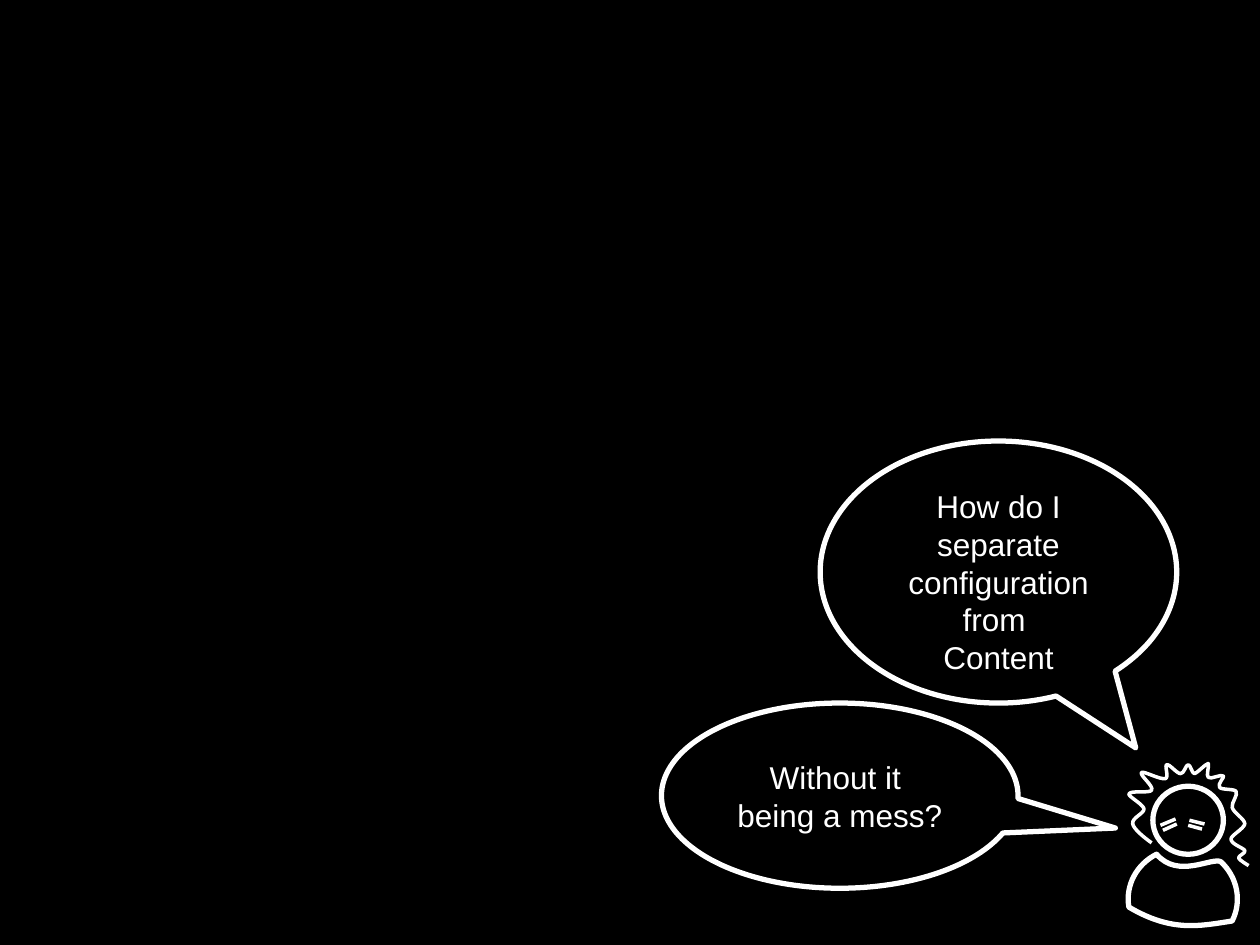
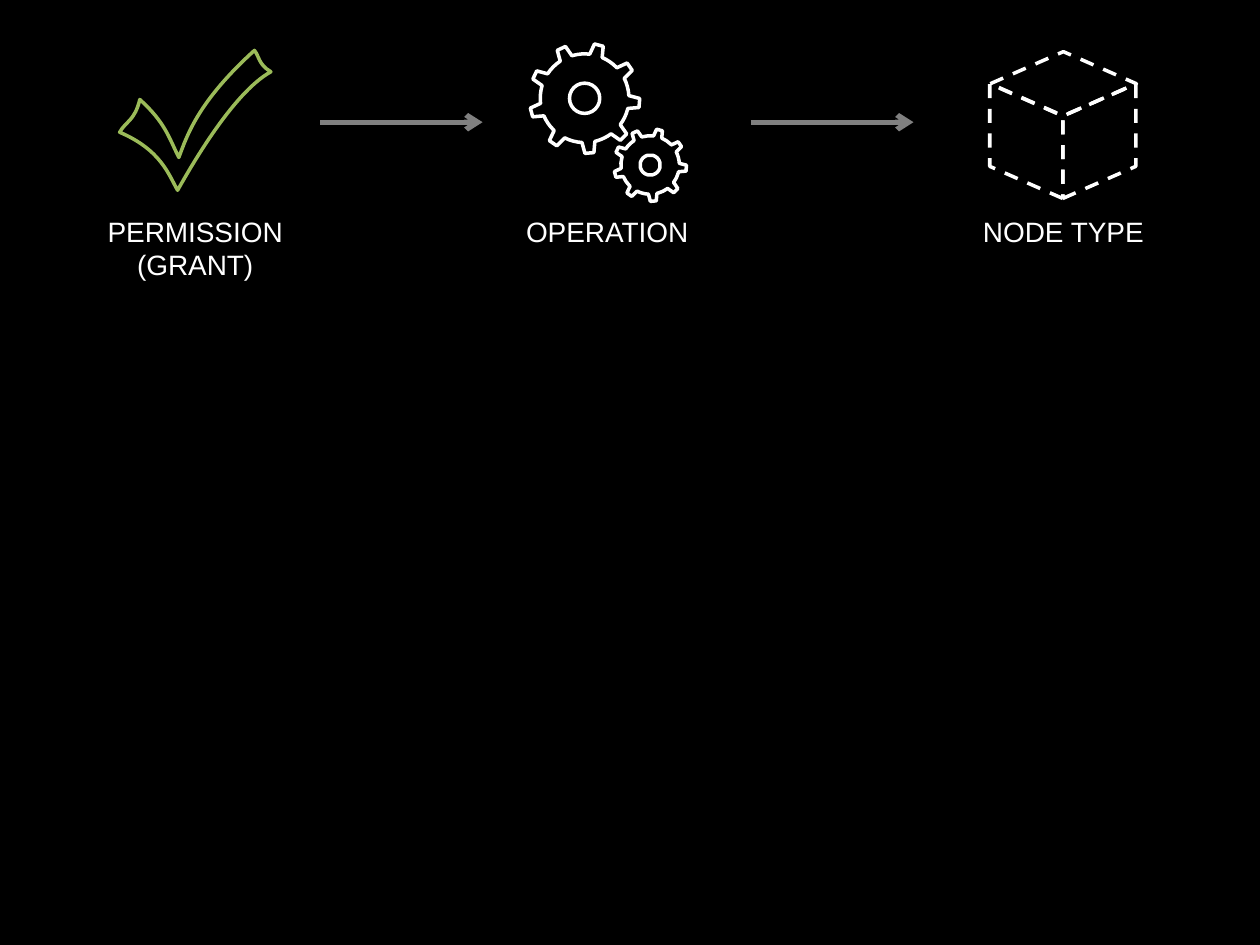
"""Build two black slides: a puzzled figure with speech bubbles, and a permission flow."""
from lxml import etree
from pptx import Presentation, util as u
from pptx.dml.color import RGBColor
from pptx.enum import dml, shapes as s, text
from pptx.oxml.ns import qn

BLACK, WHITE, GREY, GREEN = "000000", "FFFFFF", "808080", "9BBB59"
FONT = "Arial"

BODY = (0.87, 0.57), (8.96, 7.2), [
    (8.93, 7.03, 9.02, 6.86, 9.18, 6.78), (9.35, 6.98, 9.62, 6.8, 9.69, 6.84),
    (9.82, 6.96, 9.86, 7.15, 9.78, 7.31), (9.52, 7.35, 9.3, 7.4, 8.96, 7.2),
]
HAIR = (0.95, 0.81), (9.14, 6.69), [
    (9.07, 6.64, 9, 6.58, 8.99, 6.54), (8.98, 6.49, 9.08, 6.46, 9.08, 6.42),
    (9.07, 6.38, 8.95, 6.32, 8.96, 6.3), (8.98, 6.27, 9.13, 6.3, 9.14, 6.27),
    (9.16, 6.24, 9.04, 6.15, 9.06, 6.13), (9.08, 6.12, 9.21, 6.19, 9.25, 6.18),
    (9.28, 6.17, 9.24, 6.07, 9.26, 6.07), (9.28, 6.06, 9.34, 6.14, 9.37, 6.14),
    (9.4, 6.14, 9.41, 6.07, 9.43, 6.07), (9.45, 6.07, 9.46, 6.14, 9.48, 6.14),
    (9.51, 6.13, 9.57, 6.06, 9.59, 6.06), (9.6, 6.07, 9.57, 6.16, 9.59, 6.17),
    (9.61, 6.19, 9.69, 6.14, 9.71, 6.16), (9.72, 6.17, 9.66, 6.22, 9.68, 6.25),
    (9.7, 6.27, 9.79, 6.26, 9.81, 6.28), (9.83, 6.31, 9.77, 6.37, 9.78, 6.41),
    (9.79, 6.45, 9.88, 6.5, 9.88, 6.54), (9.87, 6.58, 9.77, 6.63, 9.77, 6.66),
    (9.77, 6.7, 9.87, 6.73, 9.88, 6.75), (9.89, 6.77, 9.83, 6.79, 9.83, 6.81),
    (9.84, 6.83, 9.91, 6.87, 9.91, 6.87),
]
CHECK_MARK = (1.2, 1.11), (0.95, 1.05), [
    (1.28, 1.19, 1.34, 1.39, 1.41, 1.51), (1.49, 1.37, 1.84, 0.74, 2.15, 0.57),
    (2.05, 0.51, 2.06, 0.45, 2.02, 0.4), (1.58, 0.8, 1.49, 1.06, 1.42, 1.25),
    (1.34, 1.09, 1.31, 0.97, 1.11, 0.79), (1.07, 0.96, 1, 0.96, 0.95, 1.05),
]
HEAD = (9.15, 6.24, 0.56, 0.54)
EYES = [
    [(9.21, 6.55, 9.33, 6.5), (9.23, 6.59, 9.34, 6.54)],
    [(9.44, 6.51, 9.56, 6.54), (9.43, 6.55, 9.54, 6.58)],
]
BUBBLES = [
    ((6.51, 3.5, 2.83, 2.08), (0.385, 0.671), 0.15,
     ["How do I", "separate", "configuration", "from ", "Content"]),
    ((5.25, 5.58, 2.83, 1.47), (0.773, 0.175), 0, ["Without it ", "being a mess?"]),
]
LABELS = [
    (3.54, 0.37, ["OPERATION"]),
    (0.27, 0.64, ["PERMISSION", "(GRANT)"]),
    (7.16, 0.37, ["NODE TYPE"]),
]
LABEL_TOP, LABEL_WIDTH = 1.65, 2.56
ARROW_STARTS, ARROW_LENGTH, ARROW_Y = (2.54, 5.96), 1.29, 0.97
GEARS = [(4.64, 0.78, 0.88, 0.24), (5.16, 1.31, 0.58, 0.16)]
GEAR_TILT = 15
CUBE_SIDES = [(7.69, 270, False), (8.27, 90, True)]
CUBE_SIDE_TOP, CUBE_SIDE_SIZE, CUBE_SLANT = 0.83, (0.91, 0.58), 0.44
CUBE_TOP = (7.86, 0.41, 1.16, 0.51)


def color(hex_string):
    return RGBColor.from_string(hex_string)


def style_line(shape, hex_string, width, dashed=False, arrow=False):
    shape.line.color.rgb = color(hex_string)
    shape.line.width = u.Pt(width)
    if dashed:
        shape.line.dash_style = dml.MSO_LINE.DASH
    line = shape._element.spPr.find(qn("a:ln"))
    etree.SubElement(line, qn("a:round"))
    if arrow:
        etree.SubElement(line, qn("a:tailEnd"), type="arrow")


def outline(shape, hex_string=WHITE, width=2, dashed=False):
    shape.shadow.inherit = False
    shape.fill.background()
    style_line(shape, hex_string, width, dashed)
    return shape


def add_outline(shapes, kind, box, width=2, rotation=0, dashed=False):
    shape = shapes.add_shape(kind, *map(u.Inches, box))
    shape.rotation = rotation
    return outline(shape, WHITE, width, dashed)


def add_line(shapes, ends, hex_string, width, arrow=False):
    connector = shapes.add_connector(s.MSO_CONNECTOR.STRAIGHT, *map(u.Inches, ends))
    style_line(connector, hex_string, width, arrow=arrow)
    etree.SubElement(connector._element.spPr, qn("a:effectLst"))


def add_curve(shapes, curve_data, hex_string, width, close=True):
    size, start, curves = curve_data
    builder = shapes.build_freeform(*map(u.Inches, start), scale=1.0)
    builder.add_line_segments([tuple(map(u.Inches, curve[4:])) for curve in curves], close=close)
    shape = builder.convert_to_shape()
    outline_path = next(shape._element.iter(qn("a:path")))
    for segment, curve in zip(outline_path.findall(qn("a:lnTo")), curves):
        bezier = etree.Element(qn("a:cubicBezTo"))
        for x, y in zip(curve[::2], curve[1::2]):
            etree.SubElement(bezier, qn("a:pt"), x=str(u.Inches(x) - shape.left),
                             y=str(u.Inches(y) - shape.top))
        outline_path.replace(segment, bezier)
    shape.width, shape.height = map(u.Inches, size)
    outline_path.set("w", str(shape.width))
    outline_path.set("h", str(shape.height))
    outline(shape, hex_string, width)


def write_lines(frame, lines, size):
    paragraph = frame.paragraphs[0]
    paragraph.alignment = text.PP_ALIGN.CENTER
    for index, line in enumerate(lines):
        if index:
            paragraph.add_line_break()
        run = paragraph.add_run()
        run.text = line
        run.font.size = u.Pt(size)
        run.font.name = FONT
        run.font.color.rgb = color(WHITE)


def add_bubble(shapes, box, pointer, top_inset, lines):
    bubble = add_outline(shapes, s.MSO_SHAPE.OVAL_CALLOUT, box, 3)
    bubble.adjustments[0], bubble.adjustments[1] = pointer
    frame = bubble.text_frame
    frame.margin_left = frame.margin_right = frame.margin_bottom = 0
    frame.margin_top = u.Inches(top_inset)
    frame.vertical_anchor = text.MSO_ANCHOR.MIDDLE
    frame.word_wrap = False
    write_lines(frame, lines, 18)


def add_label(shapes, left, height, lines):
    label = shapes.add_textbox(*map(u.Inches, (left, LABEL_TOP, LABEL_WIDTH, height)))
    label.text_frame.word_wrap = True
    label.text_frame.auto_size = text.MSO_AUTO_SIZE.SHAPE_TO_FIT_TEXT
    write_lines(label.text_frame, lines, 16)


def add_slide(presentation):
    slide = presentation.slides.add_slide(presentation.slide_layouts[6])
    slide.background.fill.solid()
    slide.background.fill.fore_color.rgb = color(BLACK)
    return slide.shapes


def build_question(presentation):
    shapes = add_slide(presentation)
    figure = shapes.add_group_shape().shapes
    add_curve(figure, BODY, WHITE, 3)
    add_outline(figure, s.MSO_SHAPE.OVAL, HEAD, 3)
    add_curve(figure, HAIR, WHITE, 2, close=False)
    for bubble in BUBBLES:
        add_bubble(shapes, *bubble)
    for eye in EYES:
        eye_shapes = shapes.add_group_shape().shapes
        for ends in eye:
            add_line(eye_shapes, ends, WHITE, 2)


def build_permission_flow(presentation):
    shapes = add_slide(presentation)
    for label in LABELS:
        add_label(shapes, *label)
    for start in ARROW_STARTS:
        add_line(shapes, (start, ARROW_Y, start + ARROW_LENGTH, ARROW_Y), GREY, 3, arrow=True)
    add_curve(shapes, CHECK_MARK, GREEN, 2)

    cube = shapes.add_group_shape().shapes
    for left, rotation, flipped in CUBE_SIDES:
        box = (left, CUBE_SIDE_TOP, *CUBE_SIDE_SIZE)
        side = add_outline(cube, s.MSO_SHAPE.PARALLELOGRAM, box, 2, rotation, dashed=True)
        side.adjustments[0] = CUBE_SLANT
        if flipped:
            side._element.spPr.find(qn("a:xfrm")).set("flipH", "1")
    add_outline(cube, s.MSO_SHAPE.DIAMOND, CUBE_TOP, dashed=True)

    gears = shapes.add_group_shape().shapes
    for center_x, center_y, gear_size, hole_size in GEARS:
        for kind, size in ((s.MSO_SHAPE.GEAR_9, gear_size), (s.MSO_SHAPE.OVAL, hole_size)):
            box = (center_x - size / 2, center_y - size / 2, size, size)
            add_outline(gears, kind, box, rotation=GEAR_TILT)


def main():
    presentation = Presentation()
    presentation.slide_width, presentation.slide_height = u.Inches(10), u.Inches(7.5)
    build_question(presentation)
    build_permission_flow(presentation)
    presentation.save("out.pptx")


if __name__ == "__main__":
    main()
